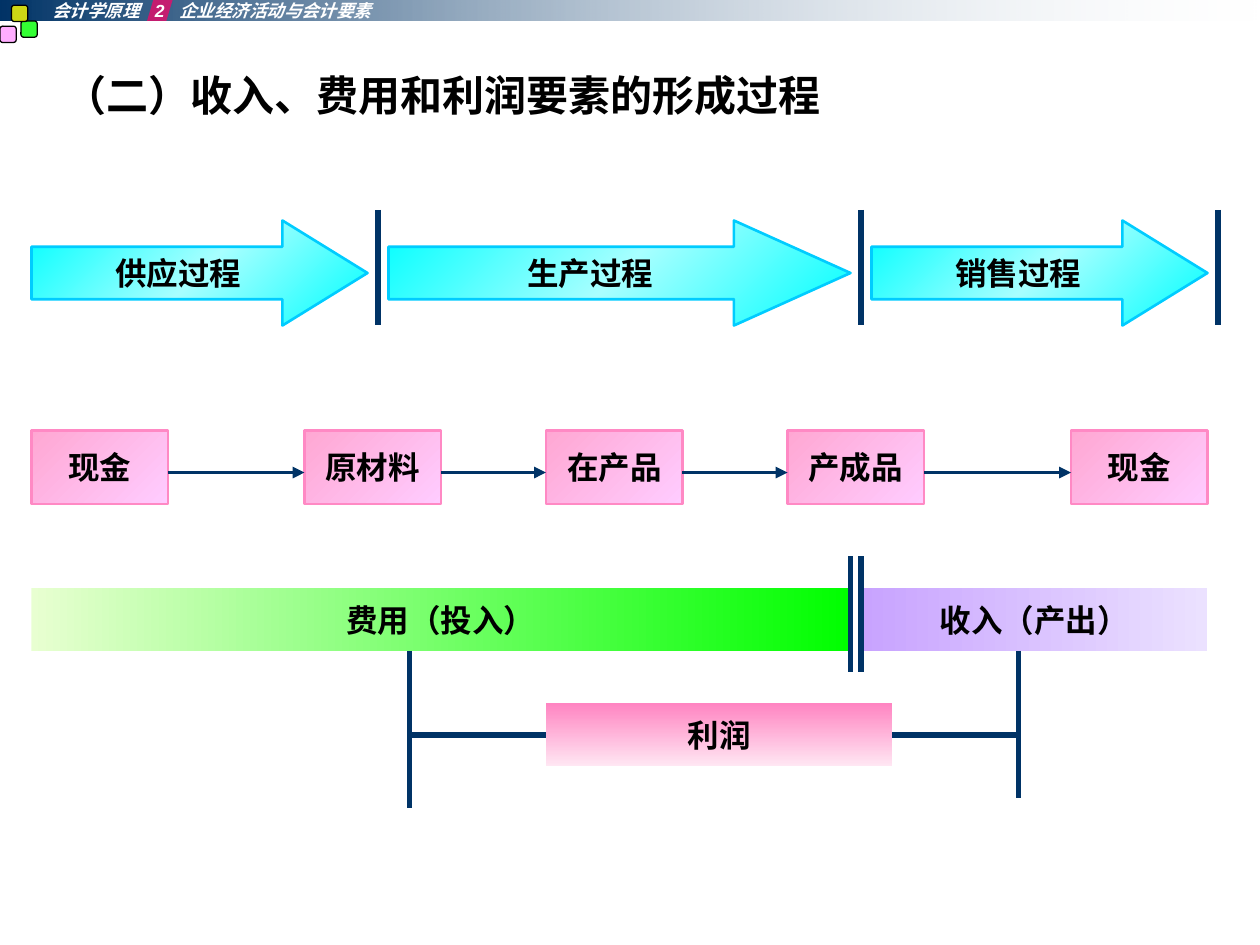
from itertools import pairwise

from lxml.etree import SubElement
from pptx import Presentation
from pptx.dml.color import RGBColor
from pptx.enum.shapes import MSO_CONNECTOR, MSO_SHAPE
from pptx.enum.text import MSO_ANCHOR, PP_ALIGN
from pptx.oxml.ns import qn
from pptx.util import Cm, Pt

BLACK = RGBColor(0x00, 0x00, 0x00)
WHITE = RGBColor(0xFF, 0xFF, 0xFF)
NAVY = RGBColor(0x00, 0x33, 0x66)
MIST = RGBColor(0xE7, 0xEC, 0xF1)
CYAN = RGBColor(0x00, 0xFF, 0xFF)
PALE_CYAN = RGBColor(0xA7, 0xFF, 0xFF)
SKY = RGBColor(0x00, 0xCC, 0xFF)
ROSE = RGBColor(0xFF, 0xA7, 0xD3)
ORCHID = RGBColor(0xFF, 0xCC, 0xFF)
ROSE_EDGE = RGBColor(0xFF, 0x89, 0xC4)
PALE_LIME = RGBColor(0xE8, 0xFF, 0xD1)
LIME = RGBColor(0x00, 0xFF, 0x00)
VIOLET = RGBColor(0xC8, 0xA3, 0xFF)
PALE_VIOLET = RGBColor(0xEB, 0xE1, 0xFF)
PINK = RGBColor(0xFF, 0x85, 0xC2)
PALE_PINK = RGBColor(0xFF, 0xE7, 0xF3)
MAGENTA = RGBColor(0xFF, 0x99, 0xFF)
YELLOW = RGBColor(0xFF, 0xFF, 0x00)
CRIMSON = RGBColor(0xFF, 0x00, 0x66)


def grid(count):
    return Cm(count * 2.54 / 12)


class ProcessSlide:
    """Draws styled elements on one slide laid out on a grid of 120 by 90 steps."""

    latin = "Arial"
    chinese = "Noto Sans CJK SC"

    def __init__(self, deck):
        self.page = deck.slides.add_slide(deck.slide_layouts[6])

    def add_span(self, para, text, size, color, name, italic=False):
        span = para.add_run()
        span.text = text
        span.font.size = Pt(size)
        span.font.bold = True
        span.font.italic = italic
        span.font.name = name
        span.font.color.rgb = color
        SubElement(span._r.get_or_add_rPr(), qn("a:ea"), typeface=self.chinese)

    def fade(self, color_element, percent):
        SubElement(color_element, qn("a:alpha"), val=str(percent * 1000))

    def blend(self, shape, colors, angle):
        shape.fill.gradient()
        shape.fill.gradient_angle = (360 - angle) % 360
        stops = shape.element.spPr.find(".//" + qn("a:gsLst"))
        stops.clear()
        for index, color in enumerate(colors):
            position = 100000 * index // (len(colors) - 1)
            stop = SubElement(stops, qn("a:gs"), pos=str(position))
            SubElement(stop, qn("a:srgbClr"), val=str(color))
        return stops

    def shape(self, kind, left, top, width, height, edge=None, weight=1.5):
        shape = self.page.shapes.add_shape(
            kind, grid(left), grid(top), grid(width), grid(height))
        shape.shadow.inherit = False
        if edge is None:
            shape.line.fill.background()
        else:
            shape.line.color.rgb = edge
            shape.line.width = Pt(weight)
        return shape

    def label(self, shape, text):
        frame = shape.text_frame
        frame.word_wrap = False
        frame.vertical_anchor = MSO_ANCHOR.MIDDLE
        para = frame.paragraphs[0]
        para.alignment = PP_ALIGN.CENTER
        self.add_span(para, text, 18, BLACK, self.latin)

    def box(self, text, left, top, width, height, colors, angle, edge=None):
        box = self.shape(MSO_SHAPE.RECTANGLE, left, top, width, height, edge)
        self.blend(box, colors, angle)
        self.label(box, text)
        return box

    def stage(self, text, left, width, head):
        arrow = self.shape(MSO_SHAPE.RIGHT_ARROW, left, 21, width, 10, SKY)
        arrow.adjustments[1] = head
        self.blend(arrow, [CYAN, PALE_CYAN, CYAN], 45)
        self.label(arrow, text)

    def badge(self, kind, left, top, width, height, color, opacity,
              adjustment, edge=None):
        badge = self.shape(kind, left, top, width, height, edge, 0.75)
        badge.adjustments[0] = adjustment
        badge.fill.solid()
        badge.fill.fore_color.rgb = color
        fill = badge.element.spPr.find(qn("a:solidFill"))
        self.fade(fill[0], opacity)

    def line(self, x1, y1, x2, y2, weight=3, arrow=False):
        line = self.page.shapes.add_connector(
            MSO_CONNECTOR.STRAIGHT, grid(x1), grid(y1), grid(x2), grid(y2))
        line.line.color.rgb = NAVY
        line.line.width = Pt(weight)
        properties = line.element.spPr
        if arrow:
            SubElement(properties.find(qn("a:ln")), qn("a:tailEnd"), type="triangle")
        SubElement(properties, qn("a:effectLst"))
        return line

    def title(self, text):
        box = self.page.shapes.add_textbox(grid(5), grid(6), grid(110), grid(79))
        box.text_frame.word_wrap = True
        self.add_span(box.text_frame.paragraphs[0], text, 24, BLACK, self.chinese)

    def header(self, parts, tabs):
        band = self.shape(MSO_SHAPE.RECTANGLE, 0, 0, 120, 2)
        self.fade(self.blend(band, [NAVY, MIST], 0)[-1][0], 0)
        for left, top, color in ((0, 2.5, MAGENTA), (2, 2, LIME), (1.1, 0.5, YELLOW)):
            self.badge(MSO_SHAPE.ROUNDED_RECTANGLE, left, top, 1.55, 1.55,
                       color, 80, 0.17, BLACK)
        self.badge(MSO_SHAPE.PARALLELOGRAM, 14, -0.2, 2.5, 2.2, CRIMSON, 70, 0.3)
        box = self.page.shapes.add_textbox(grid(5), grid(0), grid(35), grid(2))
        frame = box.text_frame
        frame.word_wrap = False
        frame.margin_left = frame.margin_right = 0
        frame.margin_top = frame.margin_bottom = 0
        para = frame.paragraphs[0]
        stops = SubElement(para._p.get_or_add_pPr(), qn("a:tabLst"))
        for tab in tabs:
            SubElement(stops, qn("a:tab"), pos=str(grid(tab)), algn="l")
        self.add_span(para, "\t".join(parts), 10, WHITE, self.latin, italic=True)


def main():
    deck = Presentation()
    deck.slide_width, deck.slide_height = grid(120), grid(90)
    slide = ProcessSlide(deck)
    slide.title("（二）收入、费用和利润要素的形成过程")
    slide.header(["会计学原理", "2", "企业经济活动与会计要素"], [9.75, 12.1])

    for text, left, width, head in (("供应过程", 3, 32, 0.81),
                                    ("生产过程", 37, 44, 1.11),
                                    ("销售过程", 83, 32, 0.81)):
        slide.stage(text, left, width, head)
        divider = left + width + 1
        slide.line(divider, 20, divider, 31)

    assets = (("现金", 3), ("原材料", 29), ("在产品", 52), ("产成品", 75), ("现金", 102))
    for text, left in assets:
        slide.box(text, left, 41, 13, 7, [ROSE, ORCHID], 45, ROSE_EDGE)
    for (_, start), (_, end) in pairwise(assets):
        slide.line(start + 13, 45, end, 45, 2.25, arrow=True)

    slide.box("费用（投入）", 3, 56, 78, 6, [PALE_LIME, LIME], 0)
    slide.box("收入（产出）", 82, 56, 33, 6, [VIOLET, PALE_VIOLET], 0)
    for divider in (81, 82):
        slide.line(divider, 53, divider, 64)

    profit = slide.box("利润", 52, 67, 33, 6, [PINK, PALE_PINK], 90)
    slide.line(39, 62, 39, 77)
    slide.line(97, 62, 97, 76)
    slide.line(39, 70, 52, 70).end_connect(profit, 1)
    slide.line(85, 70, 97, 70).begin_connect(profit, 3)
    deck.save("out.pptx")


if __name__ == "__main__":
    main()
